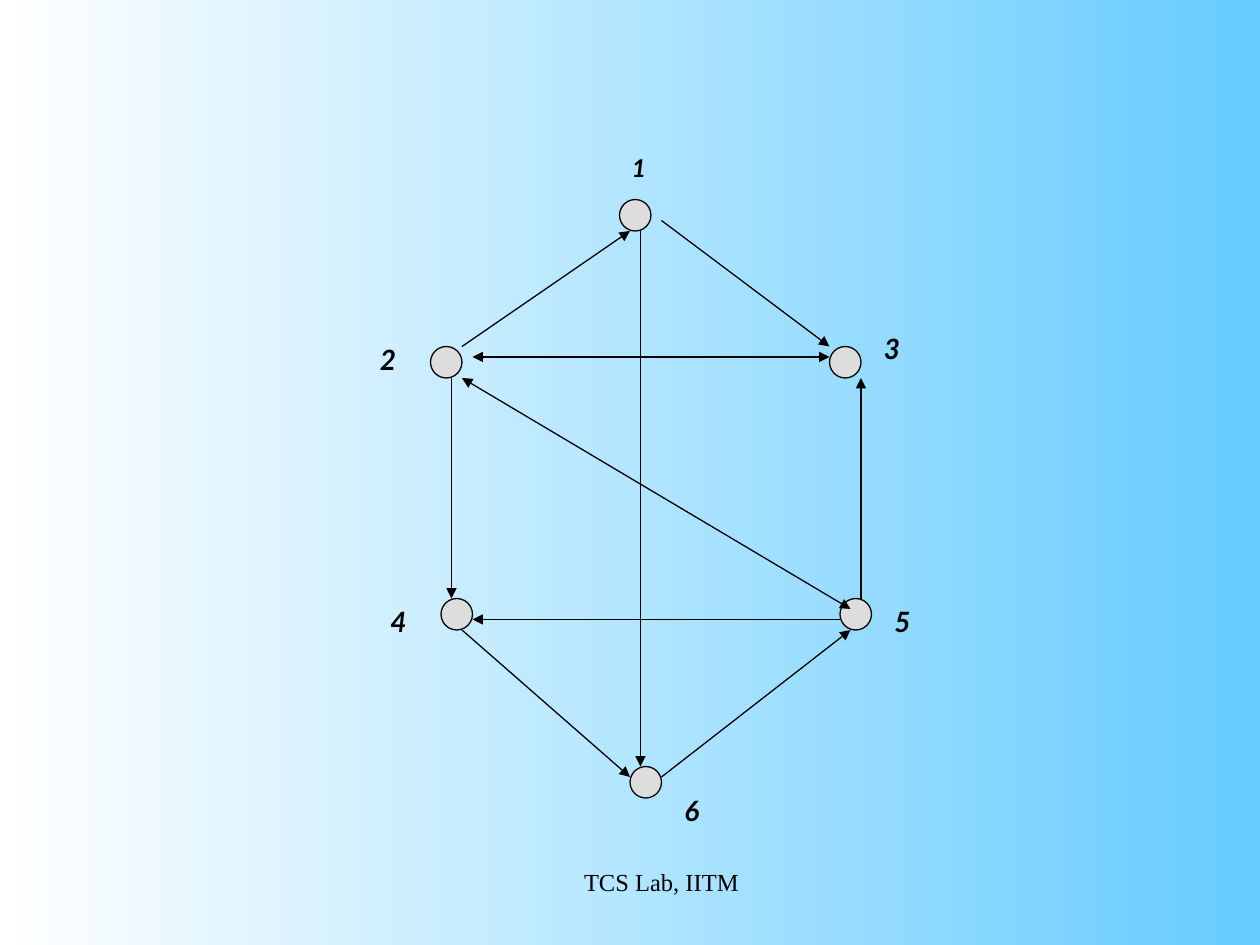
from dataclasses import dataclass

from lxml.etree import SubElement
from pptx import Presentation
from pptx.dml.color import RGBColor as Color
from pptx.enum.shapes import MSO_CONNECTOR as Connector, MSO_SHAPE as Shape
from pptx.enum.text import MSO_AUTO_SIZE as AutoSize, PP_ALIGN as Align
from pptx.oxml.ns import qn
from pptx.util import Inches, Pt

COLUMNS, ROWS = 120, 90
NODE_SIZE = 3


@dataclass(frozen=True)
class Theme:
    ink: Color = Color.from_string("000000")
    node: Color = Color.from_string("DDDDDD")
    sky: Color = Color.from_string("66CCFF")
    white: Color = Color.from_string("FFFFFF")
    label_font: str = "Lato"
    footer_font: str = "Times New Roman"
    label_size: int = 16
    small_size: int = 14
    line_width: float = 0.75


class GraphSlide:
    def __init__(self, presentation, theme):
        self.theme = theme
        self.slide = presentation.slides.add_slide(presentation.slide_layouts[6])
        self.column = presentation.slide_width / COLUMNS
        self.row = presentation.slide_height / ROWS

    def place(self, column, row):
        return round(column * self.column), round(row * self.row)

    def background(self):
        fill = self.slide.background.fill
        fill.gradient()
        fill.gradient_angle = 180
        for stop, color in zip(fill.gradient_stops, (self.theme.sky, self.theme.white)):
            stop.color.rgb = color

    def outline(self, line):
        line.color.rgb = self.theme.ink
        line.width = Pt(self.theme.line_width)

    def node(self, column, row):
        shape = self.slide.shapes.add_shape(
            Shape.OVAL, *self.place(column, row), *self.place(NODE_SIZE, NODE_SIZE))
        shape.shadow.inherit = False
        shape.fill.solid()
        shape.fill.fore_color.rgb = self.theme.node
        self.outline(shape.line)

    def arrow(self, start, end, both_ways=False):
        connector = self.slide.shapes.add_connector(
            Connector.STRAIGHT, *self.place(*start), *self.place(*end))
        self.outline(connector.line)
        line = connector.line._get_or_add_ln()
        for tag in ("a:headEnd", "a:tailEnd") if both_ways else ("a:tailEnd",):
            SubElement(line, qn(tag), type="triangle")
        SubElement(connector._element.spPr, qn("a:effectLst"))

    def text(self, text, position, size, font_name, font_size):
        box = self.slide.shapes.add_textbox(*self.place(*position), *self.place(*size))
        frame = box.text_frame
        frame.word_wrap = True
        frame.text = text
        font = frame.paragraphs[0].runs[0].font
        font.name, font.size = font_name, Pt(font_size)
        font.color.rgb = self.theme.ink
        return frame

    def label(self, text, position, size, font_size):
        frame = self.text(text, position, size, self.theme.label_font, font_size)
        frame.auto_size = AutoSize.SHAPE_TO_FIT_TEXT
        font = frame.paragraphs[0].runs[0].font
        font.bold = font.italic = True

    def footer(self, text, position, size):
        frame = self.text(text, position, size,
                          self.theme.footer_font, self.theme.small_size)
        frame.paragraphs[0].alignment = Align.CENTER


def main():
    presentation = Presentation()
    presentation.slide_width, presentation.slide_height = Inches(10), Inches(7.5)
    theme = Theme()
    graph = GraphSlide(presentation, theme)
    graph.background()

    for position in ((59, 19), (41, 33), (79, 33), (42, 57), (80, 57), (60, 73)):
        graph.node(*position)

    one_way = (
        ((44, 33), (60, 22)),
        ((63, 21), (79, 33)),
        ((82, 57), (82, 36)),
        ((61, 22), (61, 73)),
        ((63, 74), (81, 60)),
        ((80, 59), (45, 59)),
        ((43, 36), (43, 57)),
        ((44, 60), (60, 74)),
    )
    two_way = (((79, 34), (45, 34)), ((81, 58), (44, 36)))
    for start, end in one_way:
        graph.arrow(start, end)
    for start, end in two_way:
        graph.arrow(start, end, both_ways=True)

    graph.label("1", (59, 14), (3, 4), theme.small_size)
    labels = (
        ("2", (35, 32), 5),
        ("3", (83, 31), 5),
        ("4", (36, 57), 5),
        ("6", (64, 75), 4),
        ("5", (84, 57), 5),
    )
    for text, position, width in labels:
        graph.label(text, position, (width, 4.4), theme.label_size)

    graph.footer("TCS Lab, IITM", (44, 82), (38, 6))
    presentation.save("out.pptx")


if __name__ == "__main__":
    main()
